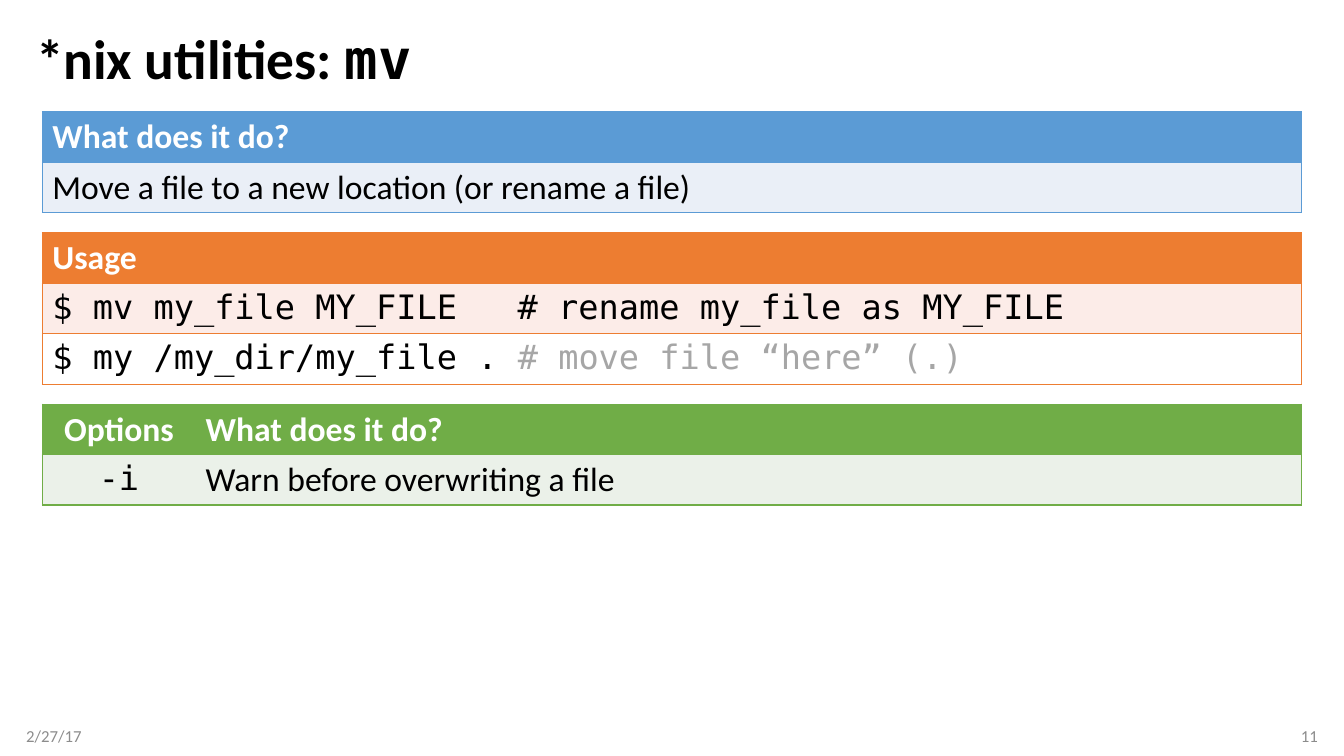
from lxml import etree
from pptx import Presentation
from pptx.dml.color import RGBColor
from pptx.enum.text import MSO_ANCHOR, PP_ALIGN
from pptx.oxml.ns import qn
from pptx.util import Inches, Pt

MIDDLE = MSO_ANCHOR.MIDDLE
LEFT, CENTER, RIGHT = PP_ALIGN.LEFT, PP_ALIGN.CENTER, PP_ALIGN.RIGHT
SANS, MONO = "Calibri", "DejaVu Sans Mono"
BLACK = RGBColor(0x00, 0x00, 0x00)
WHITE = RGBColor(0xFF, 0xFF, 0xFF)
GRAY = RGBColor(0x8C, 0x8C, 0x8C)
SILVER = RGBColor(0xA6, 0xA6, 0xA6)
BLUE = RGBColor(0x5B, 0x9B, 0xD5)
ORANGE = RGBColor(0xED, 0x7D, 0x31)
GREEN = RGBColor(0x70, 0xAD, 0x47)
PALE_BLUE = RGBColor(0xEA, 0xEF, 0xF7)
PALE_ORANGE = RGBColor(0xFC, 0xEC, 0xE8)
PALE_GREEN = RGBColor(0xEB, 0xF1, 0xE9)
ROW = 0.5


def add_run(para, text, size, font=SANS, color=BLACK, bold=False):
    run = para.add_run()
    run.text = text
    run.font.size = Pt(size)
    run.font.name = font
    run.font.color.rgb = color
    run.font.bold = bold


def add_text(slide, left, top, width, height, align=LEFT, insets=(0.1, 0.1)):
    box = slide.shapes.add_textbox(
        Inches(left), Inches(top), Inches(width), Inches(height))
    frame = box.text_frame
    frame.word_wrap = True
    frame.vertical_anchor = MIDDLE
    frame.margin_left, frame.margin_right = map(Inches, insets)
    para = frame.paragraphs[0]
    para.alignment = align
    return para


def set_edges(cell, color, sides):
    props = cell._tc.get_or_add_tcPr()
    for index, side in enumerate("LRTB"):
        line = etree.Element(qn(f"a:ln{side}"), w=str(Pt(1)))
        if side in sides:
            fill = etree.SubElement(line, qn("a:solidFill"))
            etree.SubElement(fill, qn("a:srgbClr"), val=str(color))
        else:
            etree.SubElement(line, qn("a:noFill"))
        props.insert(index, line)


def add_grid(slide, top, widths, color, fills, rows, aligns=(LEFT,)):
    shape = slide.shapes.add_table(
        len(rows), len(widths), Inches(0.42), Inches(top),
        Inches(sum(widths)), Inches(ROW * len(rows)))
    table = shape.table
    last = len(widths) - 1
    for col, width in enumerate(widths):
        table.columns[col].width = Inches(width)
    for i, (row, fill) in enumerate(zip(rows, fills)):
        for j, runs in enumerate(row):
            cell = table.cell(i, j)
            cell.fill.solid()
            cell.fill.fore_color.rgb = fill
            sides = "TB" + "L" * (j == 0) + "R" * (j == last)
            set_edges(cell, color, sides)
            para = cell.text_frame.paragraphs[0]
            para.alignment = aligns[j]
            for text, font, ink in runs:
                add_run(para, text, 24, font, ink, bold=i == 0)


def head(text):
    return [(text, SANS, WHITE)]


def body(text):
    return [(text, SANS, BLACK)]


def code(text, note=""):
    runs = [(text, MONO, BLACK)]
    if note:
        runs.append((note, MONO, SILVER))
    return runs


def main():
    deck = Presentation()
    deck.slide_width, deck.slide_height = Inches(13.33), Inches(7.5)
    slide = deck.slides.add_slide(deck.slide_layouts[6])

    title = add_text(slide, 0.26, 0.25, 12.81, 0.72)
    title.line_spacing = 0.9
    add_run(title, "*nix utilities: ", 39.6, bold=True)
    add_run(title, "mv", 39.6, MONO, bold=True)

    date = add_text(slide, 0.26, 7.1, 3, 0.4, insets=(0, 0.1))
    add_run(date, "2/27/17", 12, color=GRAY)
    number = add_text(slide, 10.07, 7.1, 3, 0.4, RIGHT, (0.1, 0))
    add_run(number, "11", 12, color=GRAY)

    add_grid(slide, 1.11, [12.49], BLUE, [BLUE, PALE_BLUE], [
        [head("What does it do?")],
        [body("Move a file to a new location (or rename a file)")],
    ])
    add_grid(slide, 2.31, [12.49], ORANGE, [ORANGE, PALE_ORANGE, WHITE], [
        [head("Usage")],
        [code("$ mv my_file MY_FILE   # rename my_file as MY_FILE")],
        [code("$ my /my_dir/my_file . ", "# move file “here” (.)")],
    ])
    add_grid(slide, 4.01, [1.52, 10.97], GREEN, [GREEN, PALE_GREEN], [
        [head("Options"), head("What does it do?")],
        [code("-i"), body("Warn before overwriting a file")],
    ], (CENTER, LEFT))

    deck.save("out.pptx")


if __name__ == "__main__":
    main()
